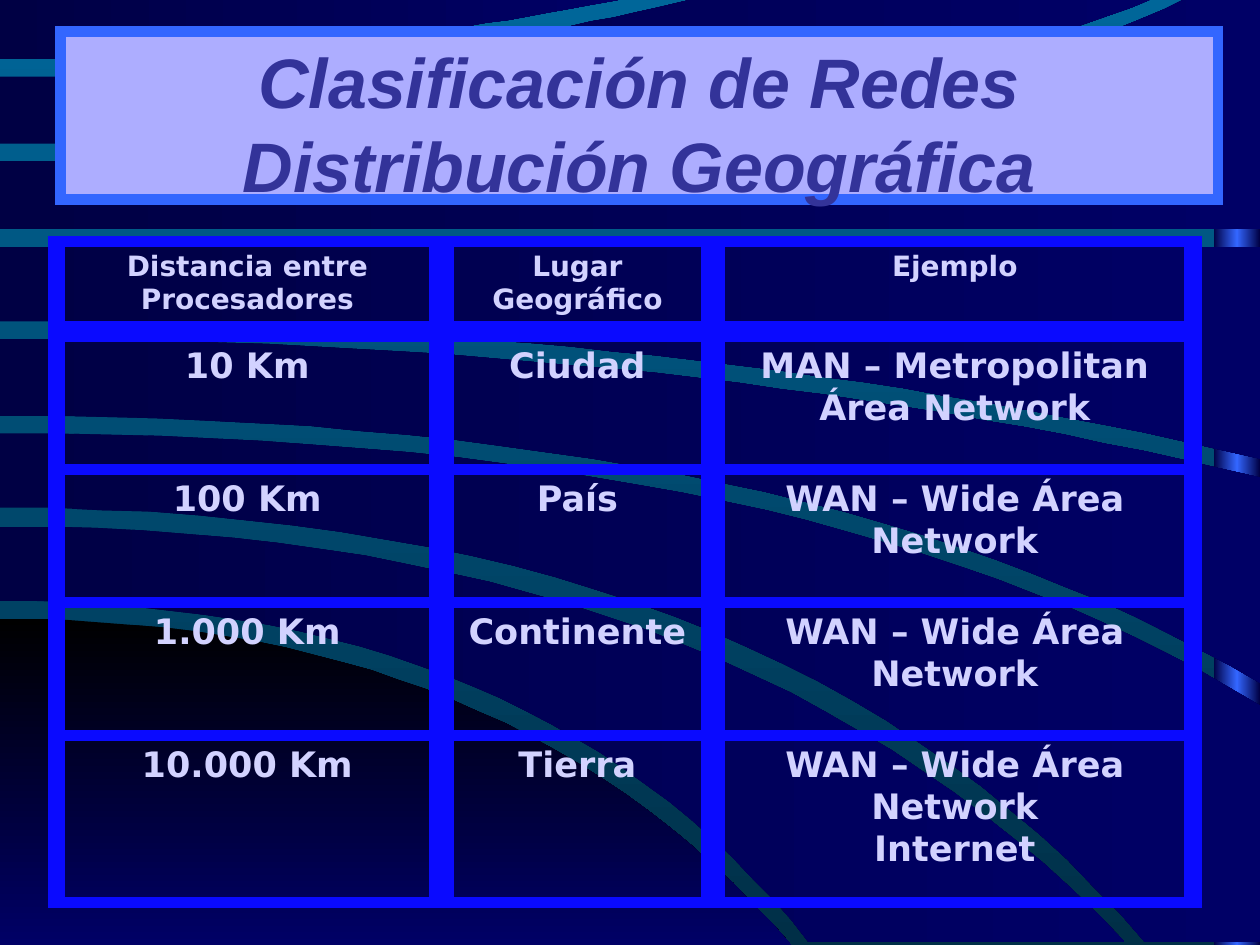
from copy import deepcopy
from lxml import etree
from pptx import Presentation
from pptx.dml.color import RGBColor
from pptx.enum import shapes, text
from pptx.oxml.ns import qn
from pptx.util import Pt

BLACK, NIGHT, NAVY = "000000", "000044", "000066"
SKY, BLUE, LILAC = "3366FF", "0A0AFF", "D2D2FF"
DOWN, ACROSS = 270, 0


def shade(fill, cols, angle):
    fill.gradient()
    fill.gradient_angle = angle
    for stop, col in zip(fill.gradient_stops, cols):
        stop.color.rgb = RGBColor.from_string(col)


def box(x, y, w, h, edge, words="", size=20, font="DejaVu Sans", ink=LILAC):
    rect = slide.shapes.add_shape(shapes.MSO_SHAPE.RECTANGLE, Pt(x), Pt(y), Pt(w), Pt(h))
    rect.shadow.inherit = False
    rect.fill.background()
    rect.line.color.rgb = RGBColor.from_string(edge)
    rect.line.width = Pt(6)
    etree.SubElement(rect.element.spPr.find(qn("a:ln")), qn("a:miter"), lim="800000")
    if words:
        frame = rect.text_frame
        frame.text = words
        frame.word_wrap = True
        frame.vertical_anchor = text.MSO_ANCHOR.TOP
        frame.margin_top = Pt(3.8)
        for para in frame.paragraphs:
            para.alignment = text.PP_ALIGN.CENTER
            para.line_spacing = Pt(size * 1.2)
            for run in para.runs:
                run.font.name = font
                run.font.size = Pt(size)
                run.font.bold = True
                run.font.color.rgb = RGBColor.from_string(ink)
    return rect


deck = Presentation()
deck.slide_width, deck.slide_height = Pt(720), Pt(540)
slide = deck.slides.add_slide(deck.slide_layouts[6])
shade(slide.background.fill, ("006699", "002F47"), DOWN)

bar = slide.shapes.add_shape(shapes.MSO_SHAPE.RECTANGLE, Pt(693.5), 0, Pt(26.5), Pt(540))
bar.shadow.inherit = False
bar.line.fill.background()
shade(bar.fill, (NIGHT, SKY), ACROSS)
stops = bar.element.spPr.find(".//" + qn("a:gsLst"))
stops.append(deepcopy(stops[0]))
stops[1].set("pos", "50000")
stops[2].set("pos", "100000")

# An edge leaves the left side level at height y, bends at (bend, y) and ends at (x, end).
# A band is the area between an upper and a lower edge; units are 1/1000 of the slide width.
hill = ((491, 405, 628, 750), (750, 300, 628, 750), [])
bands = [
    hill,
    ((418, 580, 893, 748), (477, 430, 642, 748), []),
    ((344, 650, 1000, 560), (403, 615, 909, 748), [(1000, 748)]),
    ((269, 542, 1000, 379), (330, 645, 1000, 542), []),
    ((196, 500, 1000, 196), (255, 540, 1000, 364), []),
    ((128, 680, 943, -2), (182, 500, 1000, 182), [(1000, -2)]),
    ((61, 300, 556, -2), (114, 640, 917, -2), []),
    ((-2, 250, 501, -2), (47, 256, 501, -2), []),
]
steps = 30
for upper, lower, corner in bands:
    edges = []
    for y, bend, x, end in (upper, lower):
        edge = []
        for i in range(steps + 1):
            t = i / steps
            edge.append((2 * t * (1 - t) * bend + t * t * x, y + t * t * (end - y)))
        edges.append(edge)
    dots = edges[0] + corner + edges[1][::-1]
    pen = slide.shapes.build_freeform(*dots[0], scale=Pt(0.72))
    pen.add_line_segments(dots[1:], close=True)
    curve = pen.convert_to_shape()
    curve.shadow.inherit = False
    curve.line.fill.background()
    if upper == hill[0]:
        shade(curve.fill, (BLACK, NAVY), DOWN)
    else:
        shade(curve.fill, (NIGHT, NAVY), ACROSS)

title = box(34.5, 18, 661.5, 96, SKY,
            "Clasificación de Redes\vDistribución Geográfica", 40, "Arial", "333399")
title.fill.solid()
title.fill.fore_color.rgb = RGBColor.from_string("ADADFF")
for run in title.text_frame.paragraphs[0].runs:
    run.font.italic = True

cols = [30.25, 252.5, 407.5, 683.75]
gap = 4
wan = "WAN – Wide Área Network"
first, pitch = 192.3, 76
body = [
    ("10 Km", "Ciudad", "MAN – Metropolitan Área Network"),
    ("100 Km", "País", wan),
    ("1.000 Km", "Continente", wan),
    ("10.000 Km", "Tierra", wan + "\nInternet"),
]
head = [("Distancia entre Procesadores", "Lugar Geográfico", "Ejemplo")]
tops = [first + pitch * i for i in range(len(body))] + [515.8]
for rows, marks, size in ((body, tops, 20), (head, [138, 186.5], 16)):
    for cells, top, base in zip(rows, marks, marks[1:]):
        for words, left, right in zip(cells, cols, cols[1:]):
            wide, high = right - left, base - top
            box(left + gap, top, wide - 2 * gap, high, BLUE, words, size)
            box(left, top, wide, high, BLUE)
    box(cols[0], marks[0], cols[-1] - cols[0], marks[-1] - marks[0], BLUE)

deck.save("out.pptx")
